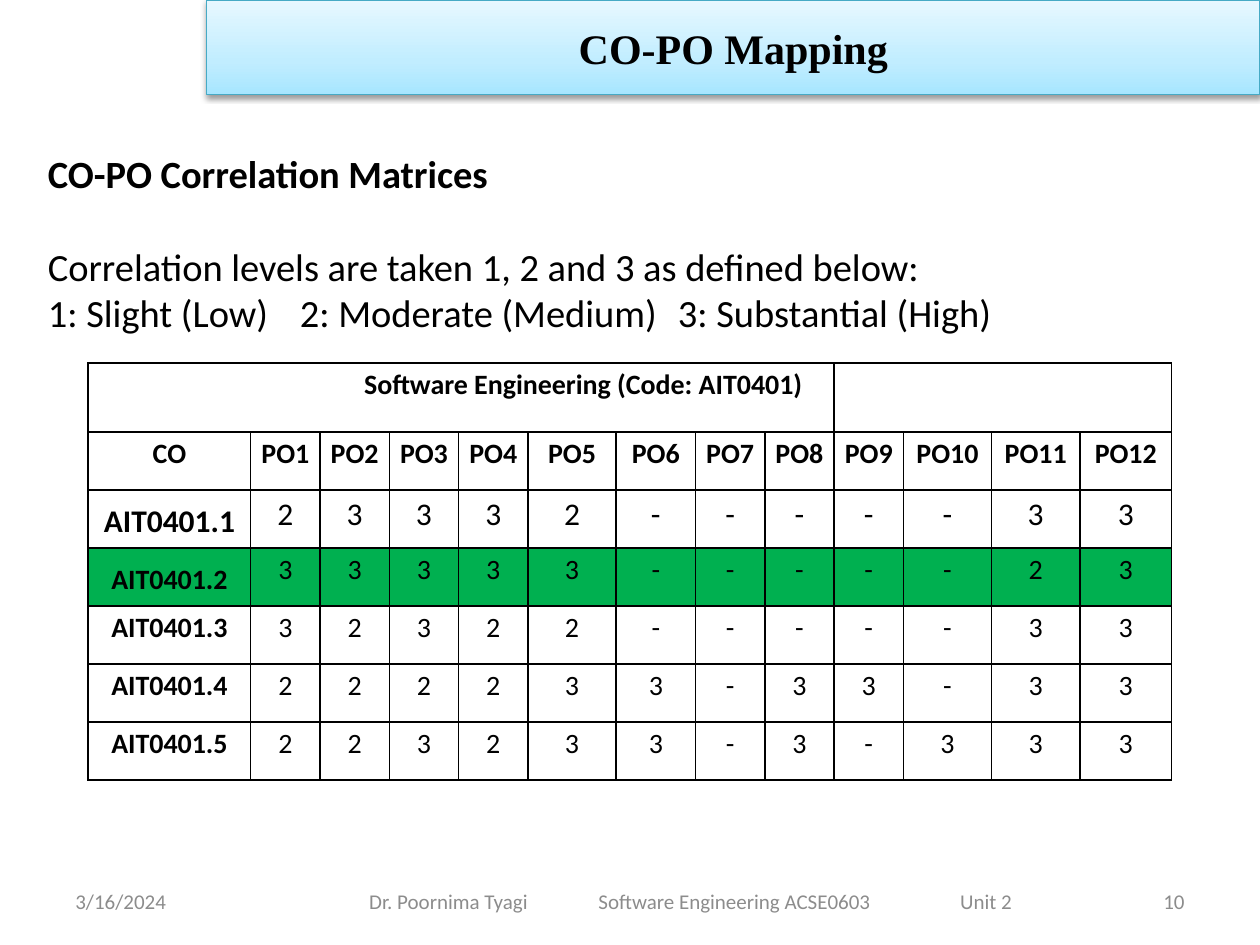
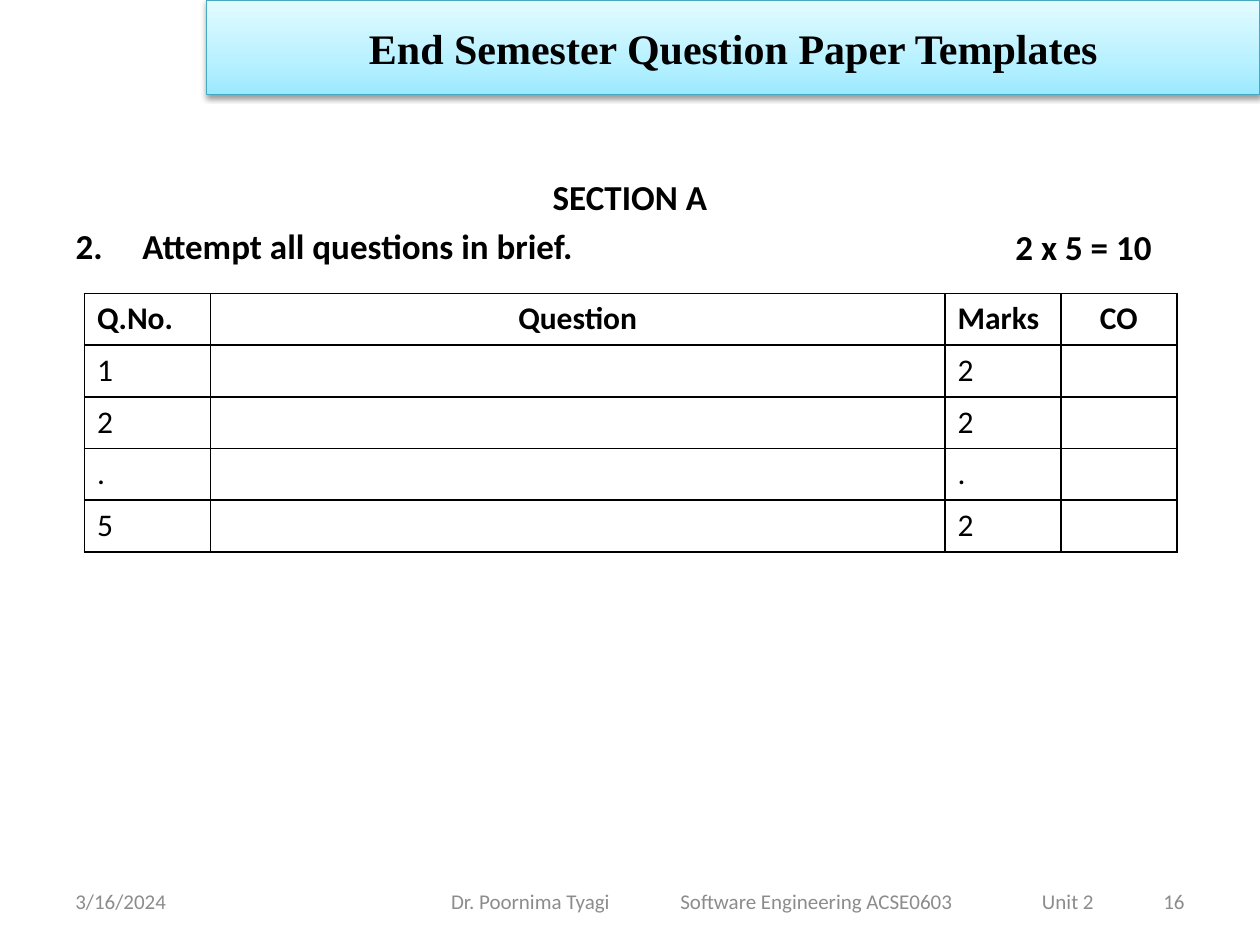
"""Build two course slides: the CO-PO mapping and a question paper template."""
from lxml import etree
from pptx import Presentation
from pptx import util as u
from pptx.dml import color
from pptx.enum import text
from pptx.oxml import ns

BLACK, WHITE, GREY, GREEN = "000000", "FFFFFF", "8C8C8C", "00B050"
LEFT, CENTER, RIGHT = text.PP_ALIGN.LEFT, text.PP_ALIGN.CENTER, text.PP_ALIGN.RIGHT
MIDDLE = text.MSO_ANCHOR.MIDDLE
FOOTER = "Dr. Poornima Tyagi\tSoftware Engineering ACSE0603\tUnit 2"
rgb = color.RGBColor.from_string


def write(p, words, size=16, bold=False, fill=BLACK, font="Calibri", align=LEFT,
          margin=None, indent=0, tabs=(), before=0, after=0, line=1.0):
    pPr = p._p.get_or_add_pPr()
    if margin is not None:
        pPr.set("marL", str(u.Inches(margin)))
        pPr.set("indent", str(u.Inches(indent)))
        etree.SubElement(pPr, ns.qn("a:buNone"))
    if tabs:
        tab_list = etree.SubElement(pPr, ns.qn("a:tabLst"))
        for pos in tabs:
            etree.SubElement(tab_list, ns.qn("a:tab"), pos=str(u.Inches(pos)), algn="l")
    p.alignment = align
    p.space_before, p.space_after = u.Pt(before), u.Pt(after)
    p.line_spacing = line
    r = p.add_run()
    r.text = words
    r.font.size, r.font.bold, r.font.name = u.Pt(size), bold, font
    r.font.color.rgb = rgb(fill)


def add_grid(s, left, top, widths, heights):
    tbl = s.shapes.add_table(len(heights), len(widths), u.Inches(left), u.Inches(top),
                             u.Inches(sum(widths)), u.Inches(sum(heights))).table
    tbl.first_row = tbl.horz_banding = False
    for col, width in zip(tbl.columns, widths):
        col.width = u.Inches(width)
    for row, height in zip(tbl.rows, heights):
        row.height = u.Inches(height)
    for cell in tbl.iter_cells():
        tcPr = cell._tc.get_or_add_tcPr()
        for side in ("lnL", "lnR", "lnT", "lnB"):
            ln = etree.SubElement(tcPr, ns.qn(f"a:{side}"), w=str(u.Pt(1)))
            solid = etree.SubElement(ln, ns.qn("a:solidFill"))
            etree.SubElement(solid, ns.qn("a:srgbClr"), val=BLACK)
        cell.fill.solid()
        cell.fill.fore_color.rgb = rgb(WHITE)
    return tbl


prs = Presentation()
prs.slide_width, prs.slide_height = u.Inches(10), u.Inches(7.5)

pages = [
    ("CO-PO Mapping", ("A7E6FF", "C1EDFF", "E7F8FF"), "46AAC5", "10", 2.75,
     (0.28, 1.14, 9.14, 1.58)),
    ("End Semester Question Paper Templates", ("9BE9FF", "B8F1FF", "E2FBFF"), "45A9C4",
     "16", 3.4, (0.5, 1.34, 9, 5.2)),
]
slides = []
for title, stops, edge, number, footer_left, body_box in pages:
    s = prs.slides.add_slide(prs.slide_layouts[1])
    slides.append(s)

    sp, body = s.shapes.title, s.placeholders[1]
    for holder, box in ((sp, (1.64, 0, 8.36, 0.75)), (body, body_box)):
        holder.left, holder.top, holder.width, holder.height = map(u.Inches, box)
        holder.text_frame.auto_size = text.MSO_AUTO_SIZE.NONE
    sp.text_frame.vertical_anchor = MIDDLE
    write(sp.text_frame.paragraphs[0], title, size=24, bold=True,
          font="Times New Roman", align=CENTER)

    spPr = sp._element.spPr
    grad = etree.SubElement(spPr, ns.qn("a:gradFill"), rotWithShape="1")
    stop_list = etree.SubElement(grad, ns.qn("a:gsLst"))
    for pos, stop in zip((0, 35, 100), stops):
        gs = etree.SubElement(stop_list, ns.qn("a:gs"), pos=str(pos * 1000))
        etree.SubElement(gs, ns.qn("a:srgbClr"), val=stop)
    etree.SubElement(grad, ns.qn("a:lin"), ang=str(270 * 60000), scaled="1")
    sp.line.color.rgb = rgb(edge)
    sp.line.width = u.Pt(0.75)
    sp.shadow.inherit = False
    shadow = etree.SubElement(spPr.find(ns.qn("a:effectLst")), ns.qn("a:outerShdw"),
                              blurRad=str(u.Pt(3.1)), dist=str(u.Pt(1.6)),
                              dir=str(90 * 60000), rotWithShape="0")
    shade = etree.SubElement(shadow, ns.qn("a:srgbClr"), val=BLACK)
    etree.SubElement(shade, ns.qn("a:alpha"), val="38000")

    for words, left, width, inset, align, tabs in (
            ("3/16/2024", 0.5, 2.33, 0.1, LEFT, ()),
            (FOOTER, footer_left, 5.5, 0.18, LEFT, (1.82, 4.69)),
            (number, 7.17, 2.33, 0.1, RIGHT, ())):
        tf = s.shapes.add_textbox(u.Inches(left), u.Inches(6.95), u.Inches(width),
                                  u.Inches(0.4)).text_frame
        tf.word_wrap = True
        tf.vertical_anchor = MIDDLE
        tf.margin_left = u.Inches(inset)
        write(tf.paragraphs[0], words, size=12, fill=GREY, align=align, tabs=tabs)

mapping, paper = slides

tf = mapping.placeholders[1].text_frame
write(tf.paragraphs[0], "CO-PO Correlation Matrices", size=22, bold=True, margin=0)
write(tf.add_paragraph(), "Correlation levels are taken 1, 2 and 3 as defined below:",
      size=22, margin=0, before=26.5)
write(tf.add_paragraph(), "1: Slight (Low)\t2: Moderate (Medium)\t3: Substantial (High)",
      size=22, margin=0, tabs=(2, 5))

widths = [1.29] + [0.55] * 4 + [0.7, 0.63] + [0.55] * 3 + [0.7, 0.7, 0.73]
levels = ["23332-----33", "33333-----23", "32322-----33", "222233-33-33", "223233-3-333"]
rows = [["CO"] + [f"PO{n}" for n in range(1, 13)]]
rows += [[f"AIT0401.{n}", *marks] for n, marks in enumerate(levels, 1)]
tbl = add_grid(mapping, 0.7, 2.88, widths, [0.55] + [0.46] * len(rows))
for cell in tbl.iter_cells():
    cell.margin_left = cell.margin_right = u.Inches(0.07)
    cell.margin_top = cell.margin_bottom = 0
tbl.cell(0, 0).merge(tbl.cell(0, 8))
tbl.cell(0, 9).merge(tbl.cell(0, 12))
write(tbl.cell(0, 0).text_frame.paragraphs[0], "Software Engineering (Code: AIT0401)",
      bold=True, align=CENTER, margin=1.94, after=10, line=1.15)
for i, row in enumerate(rows, 1):
    for j, words in enumerate(row):
        cell = tbl.cell(i, j)
        write(cell.text_frame.paragraphs[0], words, size=18 if i == 2 else 16,
              bold=i == 1 or j == 0, align=CENTER, after=10, line=1.15)
        if j == 0 and i in (2, 3):
            cell.vertical_anchor = MIDDLE
        if i == 3:
            cell.fill.fore_color.rgb = rgb(GREEN)

tf = paper.placeholders[1].text_frame
write(tf.paragraphs[0], "SECTION A", size=20, bold=True, align=CENTER, margin=0)
write(tf.add_paragraph(), "2.\tAttempt all questions in brief.", size=20, bold=True,
      margin=0.53, indent=-0.53, before=4)
tf = paper.shapes.add_textbox(u.Inches(7.74), u.Inches(1.74), u.Inches(1.5),
                              u.Inches(0.43)).text_frame
tf.word_wrap = True
write(tf.paragraphs[0], "2 x 5 = 10", size=20, bold=True, align=RIGHT)

rows = [("Q.No.", "Question", "Marks", "CO"), ("1", "", "2", ""), ("2", "", "2", ""),
        (".", "", ".", ""), ("5", "", "2", "")]
tbl = add_grid(paper, 0.67, 2.33, [1, 5.83, 0.92, 0.92], [0.41] * len(rows))
for i, row in enumerate(rows):
    for j, words in enumerate(row):
        if words:
            write(tbl.cell(i, j).text_frame.paragraphs[0], words, size=18, bold=i == 0,
                  align=CENTER if j in (1, 3) else LEFT)

prs.save("out.pptx")
